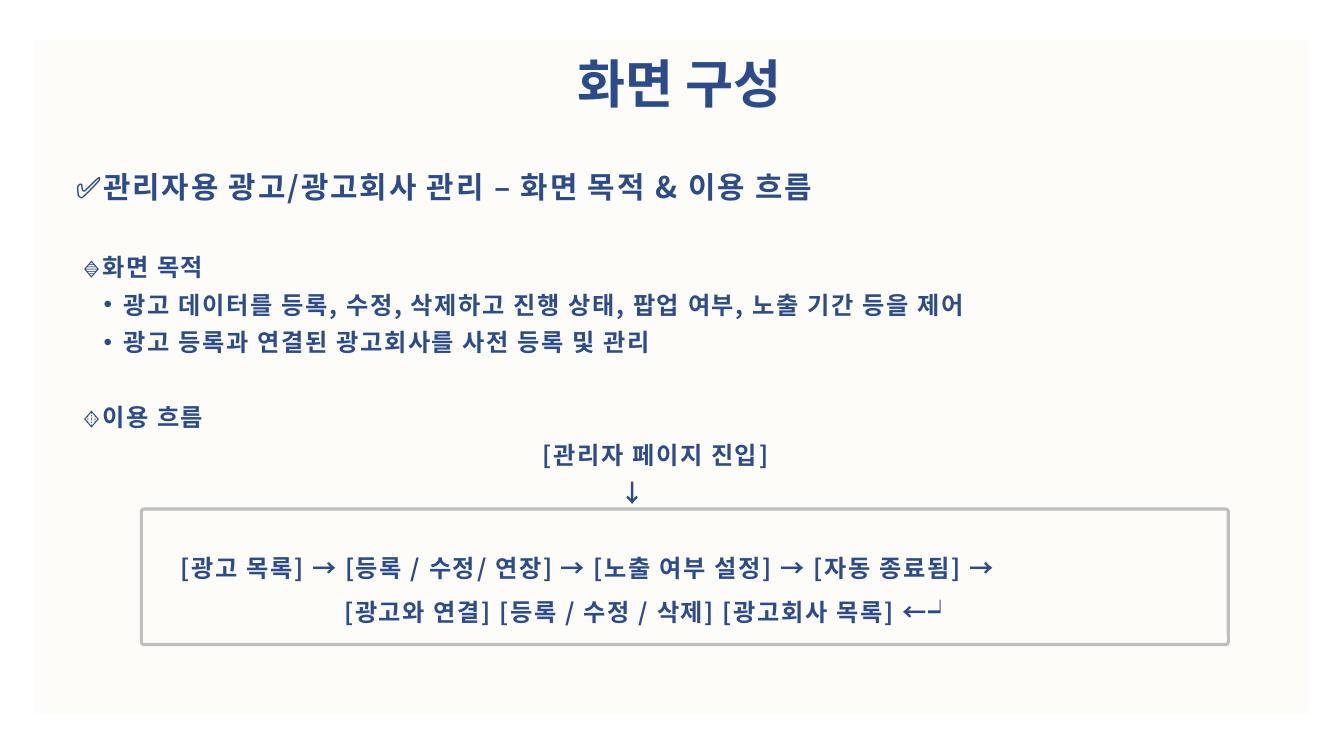
from dataclasses import dataclass

from lxml.etree import SubElement
from pptx import Presentation
from pptx.dml.color import RGBColor
from pptx.enum.shapes import MSO_SHAPE as Shape
from pptx.enum.text import MSO_ANCHOR as Anchor, PP_ALIGN as Align
from pptx.oxml.ns import qn
from pptx.slide import Slide
from pptx.text.text import TextFrame
from pptx.util import Pt

FONT = "Noto Sans CJK KR"
NAVY, CREAM, GRAY = "2B4B8B", "FEFCF9", "BFBFBF"


@dataclass
class Line:
    text: str
    size: float = 17.3
    pitch: float = 26.9
    track: float = 1.2
    align: Align = Align.LEFT
    left: float = 0
    gap: float = 0
    ratio: float = 0
    bullet: bool = False


@dataclass
class Block:
    left: float
    top: float
    width: float
    height: float
    lines: list[Line]


TITLE = Block(264.2, 28.8, 442.1, 52.6, [
    Line("화면 구성", 37.3, 52.3, 0, Align.CENTER),
])
BLOCKS = [
    Block(54, 113, 638.6, 33.1, [
        Line("✅관리자용 광고/광고회사 관리 – 화면 목적 & 이용 흐름", 21.3, 33.1, 1.4),
    ]),
    Block(59, 174.2, 790.6, 82.1, [
        Line("🔹화면 목적", align=Align.JUSTIFY),
        Line("광고 데이터를 등록, 수정, 삭제하고 진행 상태, 팝업 여부, 노출 기간 등을 제어",
             align=Align.JUSTIFY, left=29.5, bullet=True),
        Line("광고 등록과 연결된 광고회사를 사전 등록 및 관리",
             align=Align.JUSTIFY, left=29.5, bullet=True),
    ]),
    Block(59, 281.5, 818.6, 167.8, [
        Line("🔸이용 흐름"),
        Line("[관리자 페이지 진입]", align=Align.CENTER),
        Line("↓", left=384.5),
        Line("[광고 목록] → [등록 / 수정/ 연장] → [노출 여부 설정] → [자동 종료됨] →",
             left=70, gap=26.9),
        Line("[광고와 연결] [등록 / 수정 / 삭제] [광고회사 목록] ←┙",
             left=187, ratio=1.5),
    ]),
]


def color(code: str) -> RGBColor:
    return RGBColor.from_string(code)


def write(frame: TextFrame, lines: list[Line]) -> None:
    frame.margin_left = frame.margin_right = 0
    frame.margin_top = frame.margin_bottom = 0
    frame.word_wrap = True
    frame.vertical_anchor = Anchor.TOP
    frame.text = "\n".join(line.text for line in lines)
    for para, line in zip(frame.paragraphs, lines):
        props = para._p.get_or_add_pPr()
        props.set("marL", str(Pt(line.left)))
        props.set("indent", str(Pt(-14.4 if line.bullet else 0)))
        if line.bullet:
            para.level = 1
            SubElement(props, qn("a:buFont"), typeface="Arial")
            SubElement(props, qn("a:buChar"), char="•")
        para.alignment = line.align
        para.line_spacing = line.ratio or Pt(line.pitch)
        para.space_before = Pt(line.gap)
        for run in para.runs:
            font = run.font
            font.size, font.bold, font.name = Pt(line.size), True, FONT
            font.color.rgb = color(NAVY)
            mark = run._r.get_or_add_rPr()
            mark.set("spc", str(round(line.track * 100)))
            SubElement(mark, qn("a:ea"), typeface=FONT)


def add_text(slide: Slide, block: Block) -> None:
    box = slide.shapes.add_textbox(
        Pt(block.left), Pt(block.top), Pt(block.width), Pt(block.height))
    write(box.text_frame, block.lines)


def set_title(slide: Slide, block: Block) -> None:
    title = slide.shapes.title
    title.left, title.top = Pt(block.left), Pt(block.top)
    title.width, title.height = Pt(block.width), Pt(block.height)
    write(title.text_frame, block.lines)


def add_panel(slide: Slide) -> None:
    """Draw the cream panel behind everything else."""
    panel = slide.shapes.add_shape(
        Shape.RECTANGLE, Pt(24.5), Pt(28.8), Pt(910), Pt(481))
    panel.shadow.inherit = False
    panel.fill.solid()
    panel.fill.fore_color.rgb = color(CREAM)
    panel.line.fill.background()
    slide.shapes._spTree.insert(2, panel._element)


def add_frame(slide: Slide) -> None:
    """Draw the rounded outline around the flow steps."""
    frame = slide.shapes.add_shape(
        Shape.ROUNDED_RECTANGLE, Pt(101), Pt(363.6), Pt(776.4), Pt(96.8))
    frame.adjustments[0] = 0.02
    frame.shadow.inherit = False
    frame.fill.background()
    frame.line.color.rgb = color(GRAY)
    frame.line.width = Pt(2.25)


def main() -> None:
    deck = Presentation()
    deck.slide_width, deck.slide_height = Pt(960), Pt(540)
    slide = deck.slides.add_slide(deck.slide_layouts[5])
    add_panel(slide)
    set_title(slide, TITLE)
    add_frame(slide)
    for block in BLOCKS:
        add_text(slide, block)
    deck.save("out.pptx")


if __name__ == "__main__":
    main()
